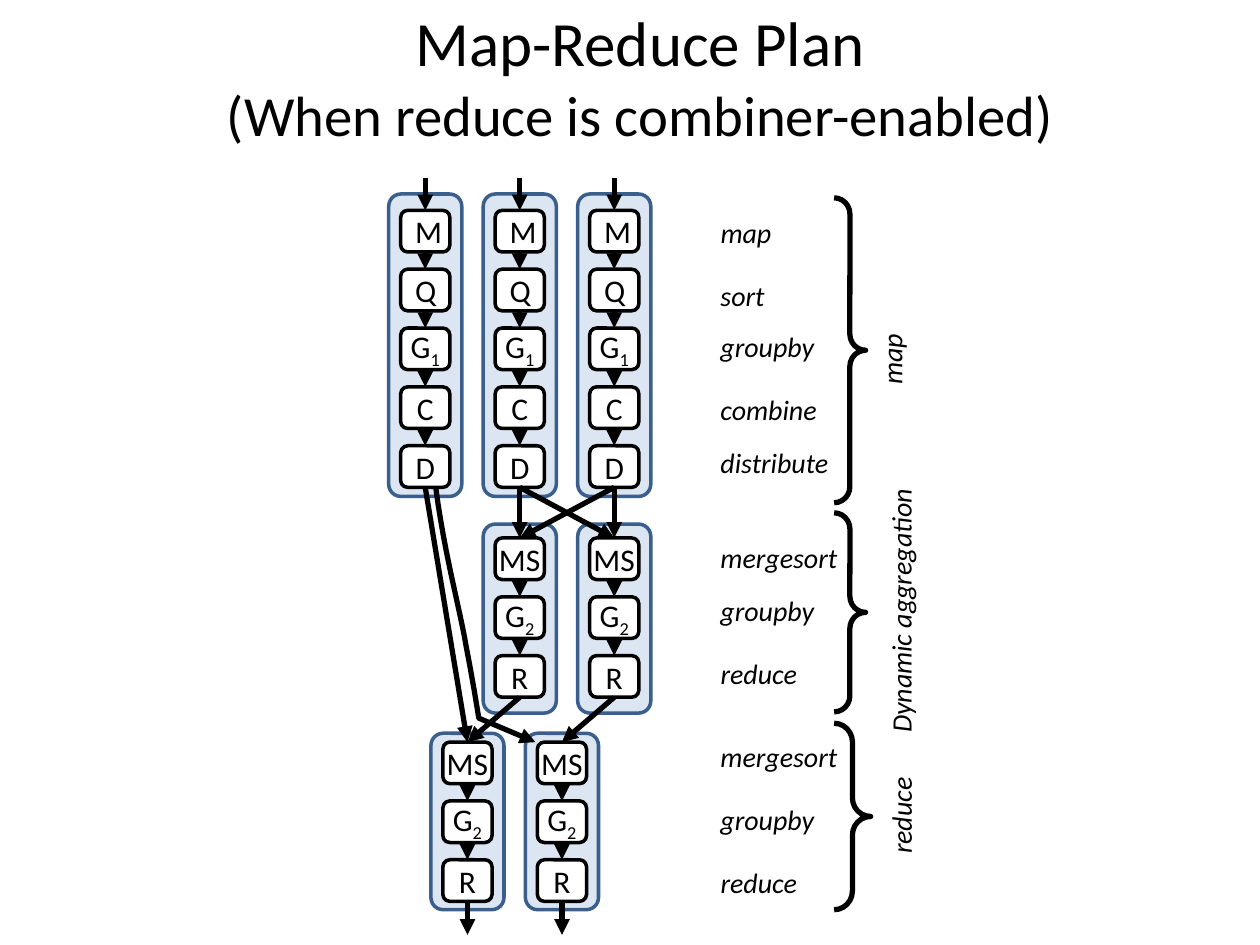
from dataclasses import dataclass

from lxml import etree
from pptx import Presentation
from pptx.dml.color import RGBColor
from pptx.enum.shapes import MSO_CONNECTOR, MSO_SHAPE
from pptx.enum.text import MSO_ANCHOR, MSO_AUTO_SIZE, PP_ALIGN
from pptx.oxml.ns import qn
from pptx.util import Inches, Pt

STRAIGHT = MSO_CONNECTOR.STRAIGHT
ROUNDED, BRACE = MSO_SHAPE.ROUNDED_RECTANGLE, MSO_SHAPE.RIGHT_BRACE
MIDDLE, CENTER, LEFT = MSO_ANCHOR.MIDDLE, PP_ALIGN.CENTER, PP_ALIGN.LEFT
FIT_SHAPE = MSO_AUTO_SIZE.SHAPE_TO_FIT_TEXT

BLACK, WHITE, PANEL, PANEL_EDGE = "000000", "FFFFFF", "DCE6F2", "3A5F8C"
STEP_W, STEP_H, STEP_PITCH = 0.39, 0.33, 0.467
PANEL_W, COLUMN_PITCH = 0.58, 0.75
LABEL_X, LABEL_H, BRACE_X = 5.62, 0.37, 6.62

Point = tuple[float, float]


@dataclass
class Stage:
    """A row of identical operator chains with its labels and brace."""
    name: str
    steps: list[str]
    first_center: float
    columns: int
    panel_top: float
    panel_height: float
    step_top: float
    labels: list[tuple[str, float, float]]  # text, top, width
    brace: tuple[float, float, float]  # top, width, height
    name_box: tuple[float, float, float]  # left, top, width

    def centers(self) -> list[float]:
        return [self.first_center + COLUMN_PITCH * i for i in range(self.columns)]

    def tops(self) -> list[float]:
        return [self.step_top + STEP_PITCH * i for i in range(len(self.steps))]

    def bottom(self) -> float:
        return self.tops()[-1] + STEP_H


MAP = Stage("map", ["M", "Q", "G1", "C", "D"], 3.375, 3, 1.54, 2.4, 1.67,
            [("map", 1.66, 0.61), ("sort", 2.16, 0.56), ("groupby", 2.57, 0.96),
             ("combine", 3.07, 0.97), ("distribute", 3.49, 1.07)],
            (1.57, 0.25, 2.42), (6.77, 2.66, 0.61))
AGGREGATION = Stage("Dynamic aggregation", ["MS", "G2", "R"], 4.125, 2, 4.16, 1.5, 4.27,
                    [("mergesort", 4.24, 1.14), ("groupby", 4.66, 0.96),
                     ("reduce", 5.16, 0.82)],
                    (4.07, 0.25, 1.58), (6.07, 4.65, 2.16))
REDUCE = Stage("reduce", ["MS", "G2", "R"], 3.71, 2, 5.82, 1.4, 5.89,
               [("mergesort", 5.82, 1.14), ("groupby", 6.32, 0.96),
                ("reduce", 6.82, 0.82)],
               (5.74, 0.29, 1.48), (6.74, 6.28, 0.82))
STAGES = [MAP, AGGREGATION, REDUCE]

prs = Presentation()
prs.slide_width, prs.slide_height = Inches(10), Inches(7.5)
slide = prs.slides.add_slide(prs.slide_layouts[5])
shapes = slide.shapes


def color(value: str) -> RGBColor:
    return RGBColor.from_string(value)


def set_line(line, value: str, width: float) -> None:
    line.color.rgb = color(value)
    line.width = Pt(width)


def add_run(paragraph, text: str, size: float, **formats):
    run = paragraph.add_run()
    run.text = text
    for key, value in {"name": "Calibri", "size": Pt(size), **formats}.items():
        setattr(run.font, key, value)
    run.font.color.rgb = color(BLACK)
    return run


def add_preset(preset, left: float, top: float, width: float, height: float,
               fill: str | None, edge: str, weight: float):
    shape = shapes.add_shape(preset, Inches(left), Inches(top), Inches(width), Inches(height))
    shape.shadow.inherit = False
    if fill:
        shape.fill.solid()
        shape.fill.fore_color.rgb = color(fill)
    else:
        shape.fill.background()
    set_line(shape.line, edge, weight)
    return shape


def add_step(code: str, center: float, top: float) -> None:
    box = add_preset(ROUNDED, center - STEP_W / 2, top, STEP_W, STEP_H, WHITE, BLACK, 2)
    frame = box.text_frame
    frame.vertical_anchor = MIDDLE
    frame.word_wrap = len(code) == 1
    paragraph = frame.paragraphs[0]
    paragraph.alignment = CENTER
    letters = code.rstrip("12")
    add_run(paragraph, letters, 18)
    if letters != code:
        index = add_run(paragraph, code[len(letters):], 18)
        index.font._element.set("baseline", "-25000")


def add_label(text: str, left: float, top: float, width: float, rotation: int = 0) -> None:
    box = shapes.add_textbox(Inches(left), Inches(top), Inches(width), Inches(LABEL_H))
    box.rotation = rotation
    box.text_frame.word_wrap = False
    box.text_frame.auto_size = FIT_SHAPE
    paragraph = box.text_frame.paragraphs[0]
    paragraph.alignment = LEFT
    add_run(paragraph, text, 16, italic=True)


def add_arrowhead(line) -> None:
    etree.SubElement(line._get_or_add_ln(), qn("a:tailEnd"), type="triangle")


def add_arrow(start: Point, end: Point) -> None:
    arrow = shapes.add_connector(STRAIGHT, *(Inches(v) for v in (*start, *end)))
    set_line(arrow.line, BLACK, 3)
    add_arrowhead(arrow.line)
    etree.SubElement(arrow._element.spPr, qn("a:effectLst"))


def curve_points(points: list[Point], count: int = 12) -> list[Point]:
    """Points along a cubic curve, without its start."""
    result = []
    for i in range(1, count + 1):
        t = i / count
        weights = ((1 - t) ** 3, 3 * t * (1 - t) ** 2, 3 * t * t * (1 - t), t ** 3)
        result.append(tuple(sum(w * p[axis] for w, p in zip(weights, points))
                            for axis in (0, 1)))
    return result


# Title
title = shapes.title
title.left, title.top, title.width, title.height = (Inches(v) for v in (0.58, 0.25, 9, 0.7))
title.text_frame.vertical_anchor = MIDDLE
heading = title.text_frame.paragraphs[0]
heading.alignment = CENTER
add_run(heading, "Map-Reduce Plan", 36)
heading.add_line_break()
add_run(heading, "(When reduce is combiner-enabled)", 32.4)

# Panels behind the chains
for stage in STAGES:
    for x in stage.centers():
        add_preset(ROUNDED, x - PANEL_W / 2, stage.panel_top, PANEL_W,
                   stage.panel_height, PANEL, PANEL_EDGE, 2)

# Chains, labels and braces
for stage in STAGES:
    tops = stage.tops()
    for x in stage.centers():
        for code, top in zip(stage.steps, tops):
            add_step(code, x, top)
        for upper, lower in zip(tops, tops[1:]):
            add_arrow((x, upper + STEP_H), (x, lower))
    for text, top, width in stage.labels:
        add_label(text, LABEL_X, top, width)
    brace_top, brace_width, brace_height = stage.brace
    brace = add_preset(BRACE, BRACE_X, brace_top, brace_width, brace_height, None, BLACK, 3)
    brace.adjustments[0] = 0.51
    add_label(stage.name, *stage.name_box, rotation=270)

# Input and output arrows
for x in MAP.centers():
    add_arrow((x, 1.41), (x, MAP.step_top))
for x in REDUCE.centers():
    add_arrow((x, REDUCE.bottom()), (x, 7.42))

# Arrows between stages
for source in MAP.centers()[1:]:
    for target in AGGREGATION.centers():
        add_arrow((source, MAP.bottom()), (target, AGGREGATION.step_top))
for source, target in zip(AGGREGATION.centers(), REDUCE.centers()):
    add_arrow((source, AGGREGATION.bottom()), (target, REDUCE.step_top))
add_arrow((MAP.first_center, MAP.bottom()), (REDUCE.first_center, REDUCE.step_top))

# Curved arrow from the first map chain to the second reduce chain
start, bend, knee = (3.46, 3.88), (3.7, 5.13), (3.8, 5.7)
route = (curve_points([start, (3.53, 4.41), (3.65, 4.83), bend])
         + curve_points([bend, (3.76, 5.44), knee, knee]) + [(4.25, 5.89)])
builder = shapes.build_freeform(Inches(start[0]), Inches(start[1]))
builder.add_line_segments([(Inches(x), Inches(y)) for x, y in route], close=False)
bypass = builder.convert_to_shape()
bypass.shadow.inherit = False
bypass.fill.background()
set_line(bypass.line, BLACK, 3)
add_arrowhead(bypass.line)

prs.save("out.pptx")
